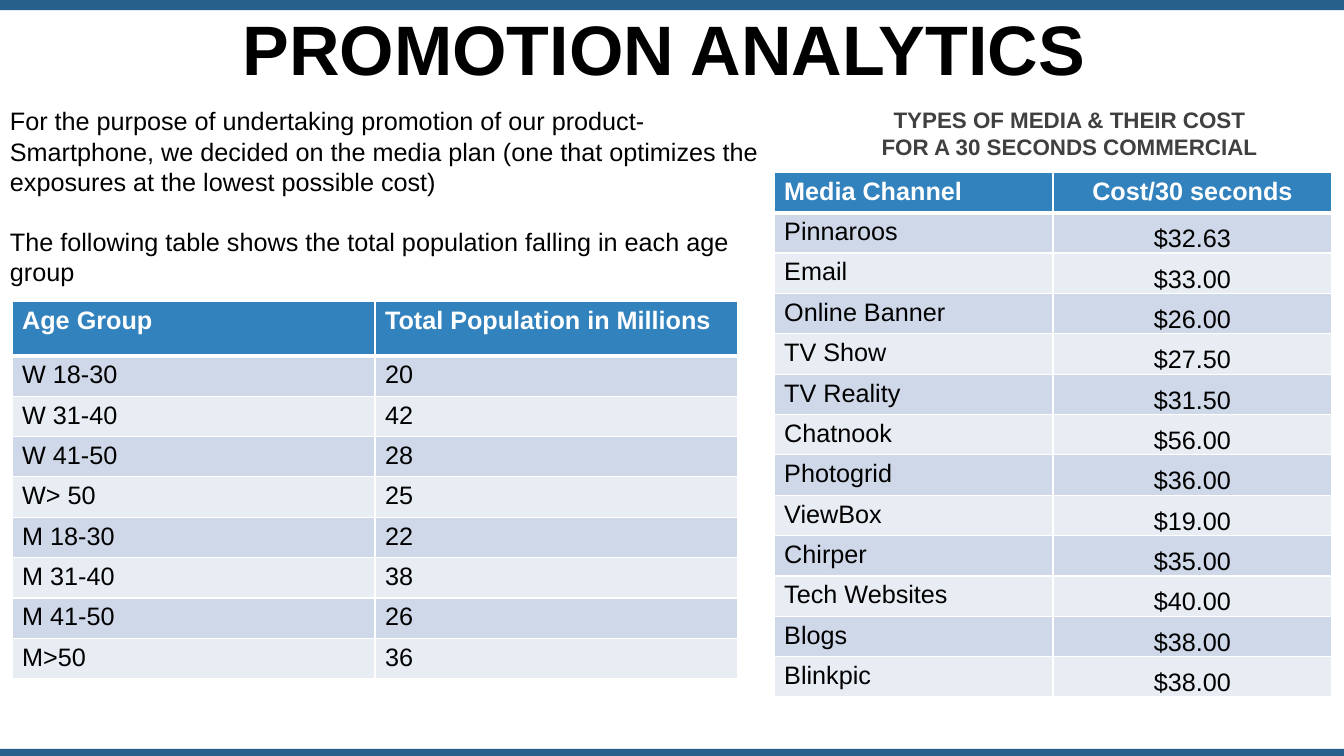
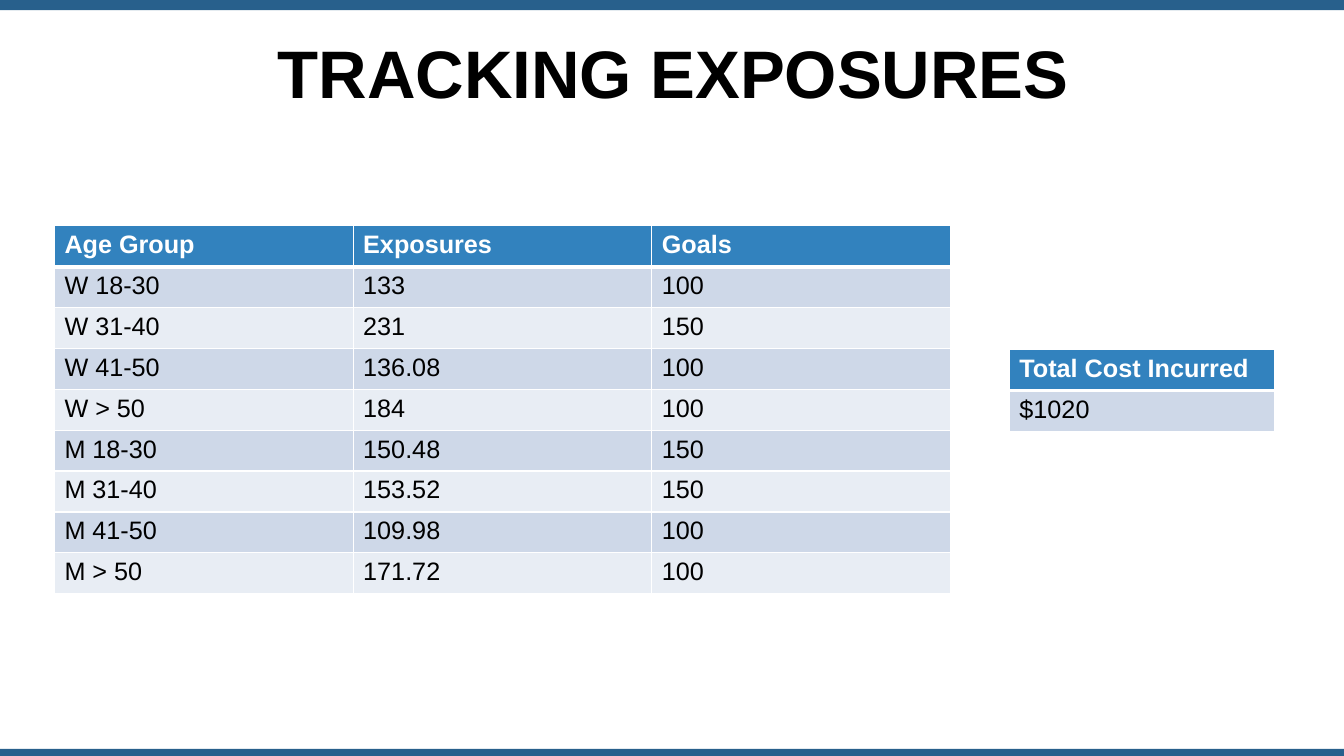
from dataclasses import dataclass

from lxml.etree import SubElement
from pptx import Presentation
from pptx.dml.color import RGBColor
from pptx.enum.shapes import MSO_SHAPE
from pptx.enum.text import MSO_ANCHOR, MSO_AUTO_SIZE, PP_ALIGN
from pptx.oxml.ns import qn
from pptx.util import Inches, Pt


@dataclass(frozen=True)
class Theme:
    font: str = "Arial"
    band: str = "28608C"
    header: str = "3282BE"
    odd_row: str = "CED8E8"
    even_row: str = "E8EDF4"
    white: str = "FFFFFF"
    text: str = "000000"
    caption: str = "404040"
    body_size: int = 18
    caption_size: int = 16
    thin_line: int = 1
    thick_line: int = 3


THEME = Theme()
SLIDE_WIDTH, SLIDE_HEIGHT = Inches(13.33), Inches(7.5)
TITLE_ONLY = 5
TITLE_WIDTH, TITLE_HEIGHT = 94.95, 10.53


# Lengths are percentages of the slide's width and height
def across(share):
    return round(SLIDE_WIDTH * share / 100)


def down(share):
    return round(SLIDE_HEIGHT * share / 100)


def area(left, top, width, height):
    return across(left), down(top), across(width), down(height)


def style(para, size=THEME.body_size, color=THEME.text, bold=False, align=PP_ALIGN.LEFT):
    font = para.font
    font.name, font.size, font.bold = THEME.font, Pt(size), bold
    font.color.rgb = RGBColor.from_string(color)
    para.alignment = align


# Slide frame: bands on the master, title on each slide
def add_bands(deck, page):
    tree = deck.slide_master.shapes.element
    for number, (top, height) in enumerate([(0, 1.33), (99.07, 0.93)]):
        band = page.shapes.add_shape(MSO_SHAPE.RECTANGLE, *area(0, top, 100, height))
        band.shadow.inherit = False
        band.fill.solid()
        band.fill.fore_color.rgb = RGBColor.from_string(THEME.band)
        band.line.fill.background()
        band.element.nvSpPr.cNvPr.set("id", str(100 + number))
        tree.insert(2 + number, band.element)


def add_page(deck, title, left, top, size, line_spacing):
    page = deck.slides.add_slide(deck.slide_layouts[TITLE_ONLY])
    box = page.shapes.title
    box.left, box.top, box.width, box.height = area(left, top, TITLE_WIDTH, TITLE_HEIGHT)
    frame = box.text_frame
    frame.text = title
    frame.auto_size = MSO_AUTO_SIZE.NONE
    frame.vertical_anchor = MSO_ANCHOR.MIDDLE
    para = frame.paragraphs[0]
    style(para, size, bold=True, align=PP_ALIGN.CENTER)
    para.line_spacing, para.space_before = line_spacing, Pt(10)
    return page


def add_text(page, place, paragraphs, gap=0, anchor=MSO_ANCHOR.TOP, **looks):
    frame = page.shapes.add_textbox(*area(*place)).text_frame
    frame.word_wrap = True
    frame.auto_size = MSO_AUTO_SIZE.SHAPE_TO_FIT_TEXT
    frame.vertical_anchor = anchor
    frame.text = "\n".join(paragraphs)
    for number, para in enumerate(frame.paragraphs):
        style(para, **looks)
        para.space_before = Pt(gap if number else 0)


# Tables
def add_borders(cell, top, bottom):
    properties = cell._tc.get_or_add_tcPr()
    sides = {"lnL": THEME.thin_line, "lnR": THEME.thin_line, "lnT": top, "lnB": bottom}
    for position, (side, width) in enumerate(sides.items()):
        line = SubElement(properties, qn(f"a:{side}"), w=str(Pt(width)))
        fill = SubElement(line, qn("a:solidFill"))
        SubElement(fill, qn("a:srgbClr"), val=THEME.white)
        properties.insert(position, line)


def format_cell(cell, text, row, centred):
    is_header = row == 0
    cell.text = text
    style(cell.text_frame.paragraphs[0],
          color=THEME.white if is_header else THEME.text,
          bold=is_header,
          align=PP_ALIGN.CENTER if centred else PP_ALIGN.LEFT)
    if centred and not is_header:
        cell.vertical_anchor = MSO_ANCHOR.BOTTOM
        cell.margin_left = cell.margin_right = cell.margin_top = Inches(0.01)
        cell.margin_bottom = 0
    body_fill = THEME.odd_row if row % 2 else THEME.even_row
    cell.fill.solid()
    cell.fill.fore_color.rgb = RGBColor.from_string(THEME.header if is_header else body_fill)
    add_borders(cell,
                top=THEME.thick_line if row == 1 else THEME.thin_line,
                bottom=THEME.thick_line if is_header else THEME.thin_line)


def add_data_table(page, place, rows, header_height=None, centred_column=None):
    left, top, width, height = area(*place)
    table = page.shapes.add_table(len(rows), len(rows[0]), left, top, width, height).table
    first = down(header_height) if header_height else height // len(rows)
    for column in table.columns:
        column.width = width // len(rows[0])
    for number, values in enumerate(rows):
        table.rows[number].height = first if number == 0 else (height - first) // (len(rows) - 1)
        for column, text in enumerate(values):
            format_cell(table.cell(number, column), text, number, column == centred_column)


# Content
POPULATION = [
    ("Age Group", "Total Population in Millions"),
    ("W 18-30", "20"), ("W 31-40", "42"), ("W 41-50", "28"), ("W> 50", "25"),
    ("M 18-30", "22"), ("M 31-40", "38"), ("M 41-50", "26"), ("M>50", "36"),
]
MEDIA_COSTS = [
    ("Media Channel", "Cost/30 seconds"),
    ("Pinnaroos", "$32.63"), ("Email", "$33.00"), ("Online Banner", "$26.00"),
    ("TV Show", "$27.50"), ("TV Reality", "$31.50"), ("Chatnook", "$56.00"),
    ("Photogrid", "$36.00"), ("ViewBox", "$19.00"), ("Chirper", "$35.00"),
    ("Tech Websites", "$40.00"), ("Blogs", "$38.00"), ("Blinkpic", "$38.00"),
]
EXPOSURES = [
    ("Age Group", "Exposures", "Goals"),
    ("W 18-30", "133", "100"), ("W 31-40", "231", "150"),
    ("W 41-50", "136.08", "100"), ("W > 50", "184", "100"),
    ("M 18-30", "150.48", "150"), ("M 31-40", "153.52", "150"),
    ("M 41-50", "109.98", "100"), ("M > 50", "171.72", "100"),
]
TOTAL_COST = [("Total Cost Incurred",), ("$1020",)]
INTRODUCTION = [
    "For the purpose of undertaking promotion of our product- Smartphone, we decided on "
    "the media plan (one that optimizes the exposures at the lowest possible cost)",
    "The following table shows the total population falling in each age group",
]


def add_promotion_page(deck):
    page = add_page(deck, "PROMOTION ANALYTICS", 1.95, 2, size=50, line_spacing=0.8)
    add_text(page, (63.98, 13.33, 31.2, 8.53),
             ["TYPES OF MEDIA & THEIR COST FOR A 30 SECONDS COMMERCIAL"],
             anchor=MSO_ANCHOR.MIDDLE, size=THEME.caption_size, color=THEME.caption,
             bold=True, align=PP_ALIGN.CENTER)
    add_text(page, (0, 13.33, 59.55, 25.6), INTRODUCTION, gap=21)
    add_data_table(page, (0.9, 39.87, 54, 49.87), POPULATION, header_height=7.2)
    add_data_table(page, (57.6, 22.8, 41.5, 69.33), MEDIA_COSTS, centred_column=1)
    return page


def add_exposures_page(deck):
    page = add_page(deck, "TRACKING EXPOSURES", 2.63, 4.93, size=48, line_spacing=0.9)
    add_data_table(page, (4.05, 29.87, 66.68, 48.67), EXPOSURES)
    add_data_table(page, (75.1, 46.27, 19.73, 10.8), TOTAL_COST)


def main():
    deck = Presentation()
    deck.slide_width, deck.slide_height = SLIDE_WIDTH, SLIDE_HEIGHT
    add_bands(deck, add_promotion_page(deck))
    add_exposures_page(deck)
    deck.save("out.pptx")


if __name__ == "__main__":
    main()
